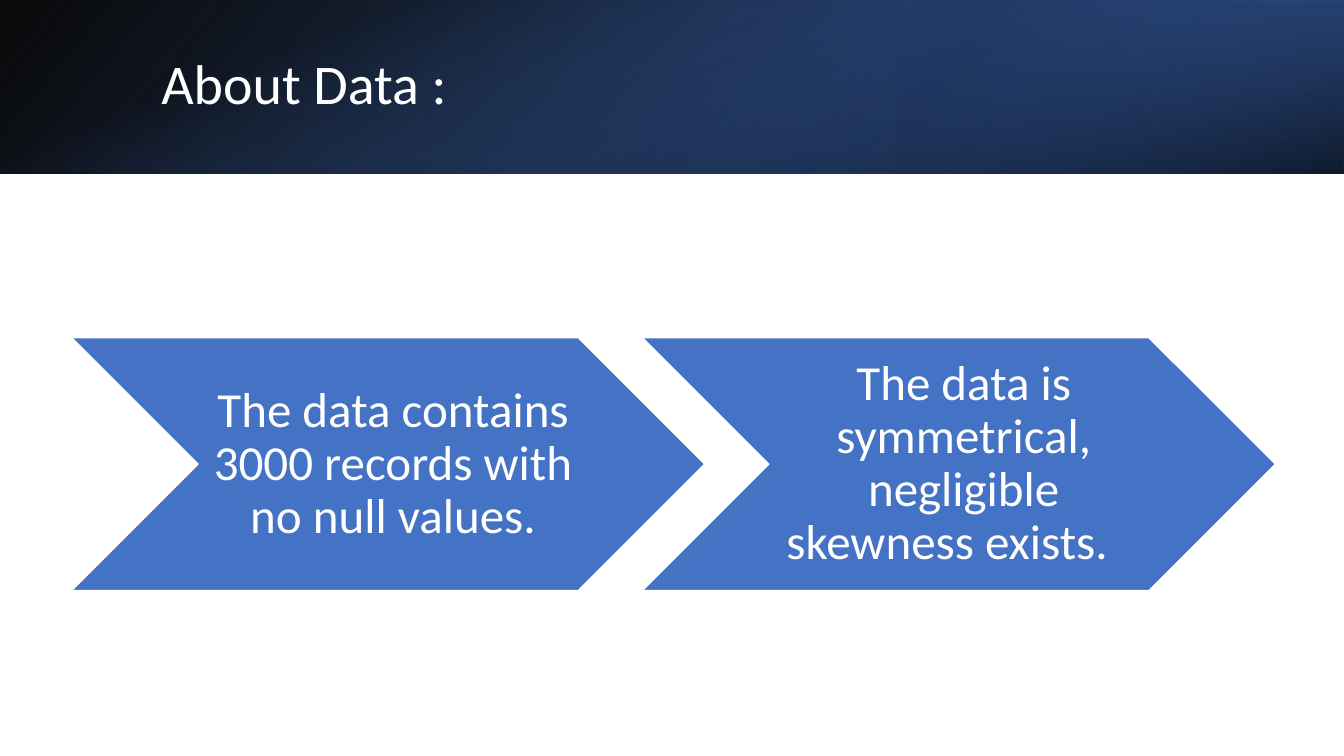
"""Build the "About Data" slide: a gradient banner above two chevrons."""
from pptx import Presentation
from pptx.dml.color import RGBColor
from pptx.enum import shapes, text
from pptx.oxml import ns
from pptx.util import Inches, Pt

BLACK = RGBColor(0x00, 0x00, 0x00)
WHITE = RGBColor(0xFF, 0xFF, 0xFF)
BLUE = RGBColor(0x44, 0x72, 0xC4)
DEEP_BLUE = RGBColor(0x2F, 0x55, 0x97)
NAVY = RGBColor(0x20, 0x38, 0x64)


def style_text(frame, size):
    frame.word_wrap = True
    frame.vertical_anchor = text.MSO_ANCHOR.MIDDLE
    paragraph = frame.paragraphs[0]
    paragraph.line_spacing = 0.9
    font = paragraph.runs[0].font
    font.name = "Calibri"
    font.size = Pt(size)
    font.color.rgb = WHITE
    return paragraph


prs = Presentation()
prs.slide_width = Inches(13.33)
prs.slide_height = Inches(7.5)
slide = prs.slides.add_slide(prs.slide_layouts[5])

banner_layers = [
    ((0, 0, 13.33, 1.72), 0, True, 140, [(0, BLACK, 96), (1, DEEP_BLUE, 100)]),
    ((8.89, 0, 4.44, 1.72), 180, True, 320, [(0.19, NAVY, 68), (1, BLUE, 79)]),
    ((5.8, -5.8, 1.72, 13.33), 90, False, 340, [(0.23, BLUE, 0), (0.99, BLACK, 74)]),
]
for box, rotation, flipped, angle, stops in banner_layers:
    layer = slide.shapes.add_shape(shapes.MSO_SHAPE.RECTANGLE, *map(Inches, box))
    layer.shadow.inherit = False
    layer.line.fill.background()
    layer.rotation = rotation
    if flipped:
        layer.element.spPr.xfrm.set("flipH", "1")
    layer.fill.gradient()
    layer.fill.gradient_angle = 360 - angle
    for stop, (position, color, opacity) in zip(layer.fill.gradient_stops, stops):
        stop.position = position
        stop.color.rgb = color
    for tint, (position, color, opacity) in zip(
            layer.element.spPr.iter(ns.qn("a:srgbClr")), stops):
        alpha = tint.makeelement(ns.qn("a:alpha"), {"val": str(opacity * 1000)})
        tint.append(alpha)

heading = slide.shapes.title
heading.element.getparent().append(heading.element)
heading.left, heading.top = Inches(1.5), Inches(0.38)
heading.width, heading.height = Inches(10.98), Inches(0.96)
heading.text_frame.text = "About Data : "
style_text(heading.text_frame, 40).alignment = text.PP_ALIGN.LEFT

findings = [
    "The data contains 3000 records with no null values.",
    "The data is symmetrical, negligible skewness exists.   ",
]
for index, finding in enumerate(findings):
    chevron = slide.shapes.add_shape(
        shapes.MSO_SHAPE.CHEVRON, Inches(0.71 + 5.66 * index), Inches(3.35),
        Inches(6.28), Inches(2.51))
    chevron.shadow.inherit = False
    chevron.fill.solid()
    chevron.fill.fore_color.rgb = BLUE
    chevron.line.color.rgb = WHITE
    chevron.line.width = Pt(1)
    frame = chevron.text_frame
    frame.text = finding
    frame.margin_left = Inches(0.15)
    frame.margin_right = frame.margin_top = frame.margin_bottom = Inches(0.05)
    style_text(frame, 35).alignment = text.PP_ALIGN.CENTER

prs.save("out.pptx")
